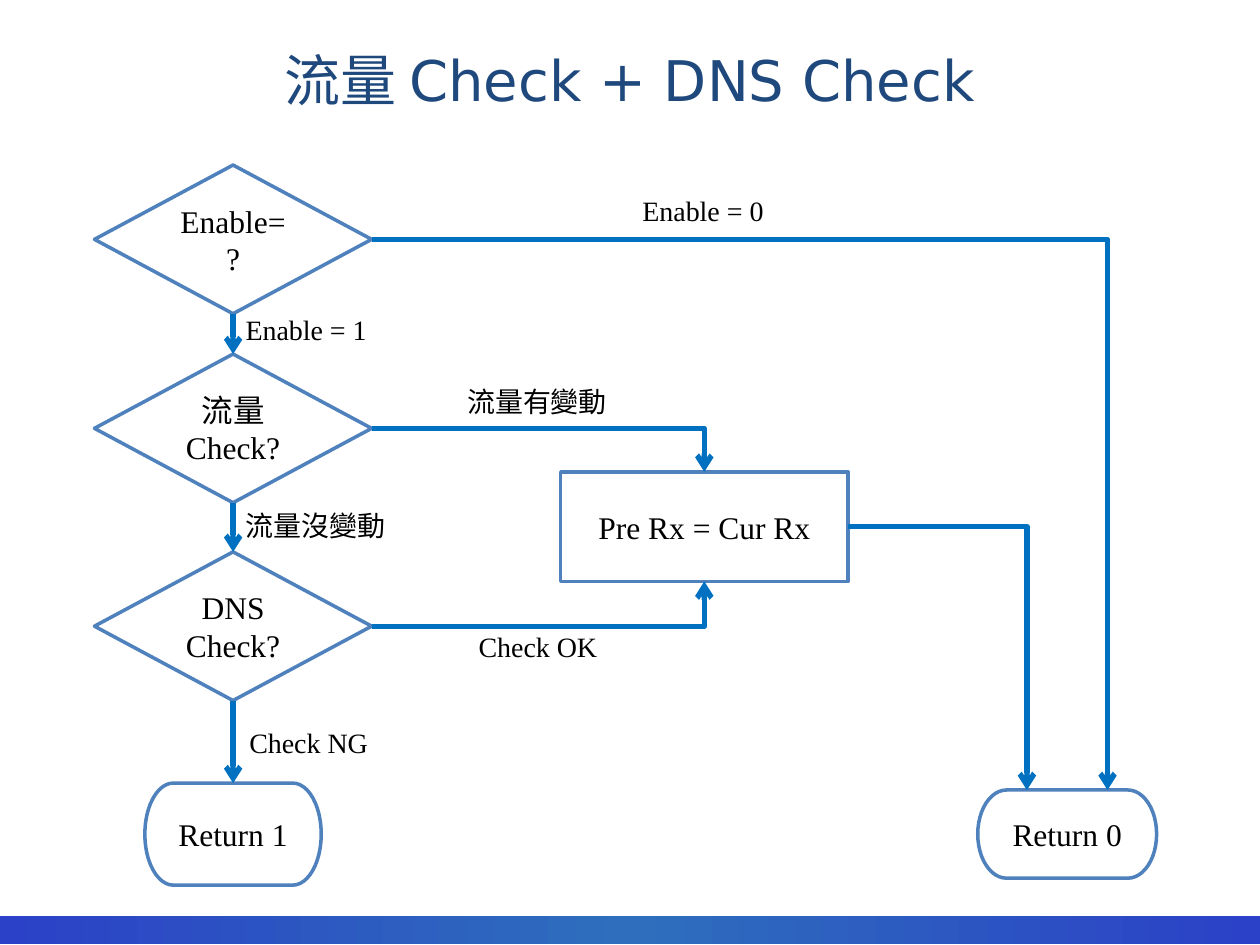
"""Build a flowchart slide that combines a traffic check with a DNS check."""
from lxml import etree
from pptx import Presentation
from pptx.dml.color import RGBColor
from pptx.enum.shapes import MSO_CONNECTOR, MSO_SHAPE
from pptx.enum.text import MSO_ANCHOR, PP_ALIGN
from pptx.oxml.ns import qn
from pptx.util import Inches, Pt

DECISION = MSO_SHAPE.FLOWCHART_DECISION
TERMINATOR = MSO_SHAPE.FLOWCHART_TERMINATOR
PROCESS = MSO_SHAPE.FLOWCHART_PROCESS
RECTANGLE = MSO_SHAPE.RECTANGLE
STRAIGHT, ELBOW = MSO_CONNECTOR.STRAIGHT, MSO_CONNECTOR.ELBOW
CENTER, LEFT = PP_ALIGN.CENTER, PP_ALIGN.LEFT
MIDDLE, UPPER = MSO_ANCHOR.MIDDLE, MSO_ANCHOR.TOP
TOP, BOTTOM, RIGHT = 0, 2, 3

THEME = {
    "title_font": "DejaVu Sans", "body_font": "Times New Roman",
    "title_size": 32, "node_size": 18, "label_size": 16,
    "title": "1F497D", "text": "000000", "fill": "FFFFFF",
    "outline": "4F81BD", "flow": "0070C0",
    "band_edge": "2B41C7", "band_middle": "2E6EBC",
    "outline_width": 2, "flow_width": 3,
}
WIDTH, HEIGHT = 10, 7.5
MAIN, UPDATE, FINISH = 1.85, 5.59, 8.47
TITLE = "流量 Check + DNS Check"
SIZES = {DECISION: (2.2, 1.18), PROCESS: (2.28, 0.87)}

NODES = {
    "enable": ("Enable=?", DECISION, MAIN, 1.9, SIZES[DECISION]),
    "traffic": ("流量Check?", DECISION, MAIN, 3.4, SIZES[DECISION]),
    "dns": ("DNS Check?", DECISION, MAIN, 4.97, SIZES[DECISION]),
    "update": ("Pre Rx = Cur Rx", PROCESS, UPDATE, 4.18, SIZES[PROCESS]),
    "failure": ("Return 1", TERMINATOR, MAIN, 6.62, (1.4, 0.81)),
    "success": ("Return 0", TERMINATOR, FINISH, 6.62, (1.42, 0.7)),
}
JOINED_FLOWS = [
    ("enable", BOTTOM, "traffic", TOP, STRAIGHT),
    ("traffic", BOTTOM, "dns", TOP, STRAIGHT),
    ("dns", BOTTOM, "failure", TOP, STRAIGHT),
    ("traffic", RIGHT, "update", TOP, ELBOW),
    ("dns", RIGHT, "update", BOTTOM, ELBOW),
]
SUCCESS_FLOWS = [("enable", 0.32), ("update", -0.32)]
LABELS = [
    ("Enable = 0", 5, 1.49, 1.18),
    ("Enable = 1", MAIN, 2.43, 1.18),
    ("流量有變動", 3.61, 3, 1.32),
    ("流量沒變動", MAIN, 3.99, 1.32),
    ("Check OK", 3.7, 4.95, 1.15),
    ("Check NG", 1.88, 5.71, 1.15),
]


def color(name):
    return RGBColor.from_string(THEME[name])


def write(box, text, role, align, anchor, wrap=True):
    frame = box.text_frame
    frame.word_wrap = wrap
    frame.vertical_anchor = anchor
    para = frame.paragraphs[0]
    para.alignment = align
    span = para.add_run()
    span.text = text
    is_title = role == "title"
    span.font.name = THEME["title_font" if is_title else "body_font"]
    span.font.size = Pt(THEME[role + "_size"])
    span.font.color.rgb = color("title" if is_title else "text")


def add_band(page):
    height = 0.03 * HEIGHT
    band = page.shapes.add_shape(
        RECTANGLE, 0, Inches(7.27), Inches(WIDTH), Inches(height))
    band.shadow.inherit = False
    band.line.fill.background()
    band.fill.gradient()
    band.fill.gradient_angle = 0
    stops = band.fill._fill._gradFill.find(qn("a:gsLst"))
    for stop in list(stops):
        stops.remove(stop)
    for share, name in ((0, "band_edge"), (50, "band_middle"), (100, "band_edge")):
        stop = etree.SubElement(stops, qn("a:gs"), pos=str(share * 1000))
        etree.SubElement(stop, qn("a:srgbClr"), val=THEME[name])


def add_node(page, text, kind, center, middle, size):
    width, height = size
    node = page.shapes.add_shape(
        kind, Inches(center - width / 2), Inches(middle - height / 2),
        Inches(width), Inches(height))
    node.shadow.inherit = False
    node.fill.solid()
    node.fill.fore_color.rgb = color("fill")
    node.line.color.rgb = color("outline")
    node.line.width = Pt(THEME["outline_width"])
    write(node, text, "node", CENTER, MIDDLE)
    return node


def side(node, index):
    if index == RIGHT:
        return node.left + node.width, node.top + node.height // 2
    return node.left + node.width // 2, node.top + (node.height if index == BOTTOM else 0)


def add_flow(page, kind, start, end):
    flow = page.shapes.add_connector(kind, *start, *end)
    flow.line.color.rgb = color("flow")
    flow.line.width = Pt(THEME["flow_width"])
    if kind == ELBOW:
        flow._element.spPr.find(qn("a:prstGeom")).set("prst", "bentConnector2")
    etree.SubElement(flow.line._get_or_add_ln(), qn("a:tailEnd"), type="arrow")
    etree.SubElement(flow._element.spPr, qn("a:effectLst"))
    return flow


def main():
    deck = Presentation()
    deck.slide_width, deck.slide_height = Inches(WIDTH), Inches(HEIGHT)
    page = deck.slides.add_slide(deck.slide_layouts[6])
    add_band(page)
    heading = page.shapes.add_textbox(
        Inches(0.075 * WIDTH), 0, Inches(0.85 * WIDTH), Inches(HEIGHT / 6))
    write(heading, TITLE, "title", CENTER, MIDDLE)

    nodes = {name: add_node(page, *details) for name, details in NODES.items()}
    for source, exit_side, target, entry_side, kind in JOINED_FLOWS:
        flow = add_flow(page, kind, side(nodes[source], exit_side),
                        side(nodes[target], entry_side))
        flow.begin_connect(nodes[source], exit_side)
        flow.end_connect(nodes[target], entry_side)
    for source, offset in SUCCESS_FLOWS:
        center, top = side(nodes["success"], TOP)
        add_flow(page, ELBOW, side(nodes[source], RIGHT), (center + Inches(offset), top))

    for text, left, top, width in LABELS:
        label = page.shapes.add_textbox(
            Inches(left), Inches(top), Inches(width), Inches(0.37))
        write(label, text, "label", LEFT, UPPER, wrap=False)
    deck.save("out.pptx")


if __name__ == "__main__":
    main()
